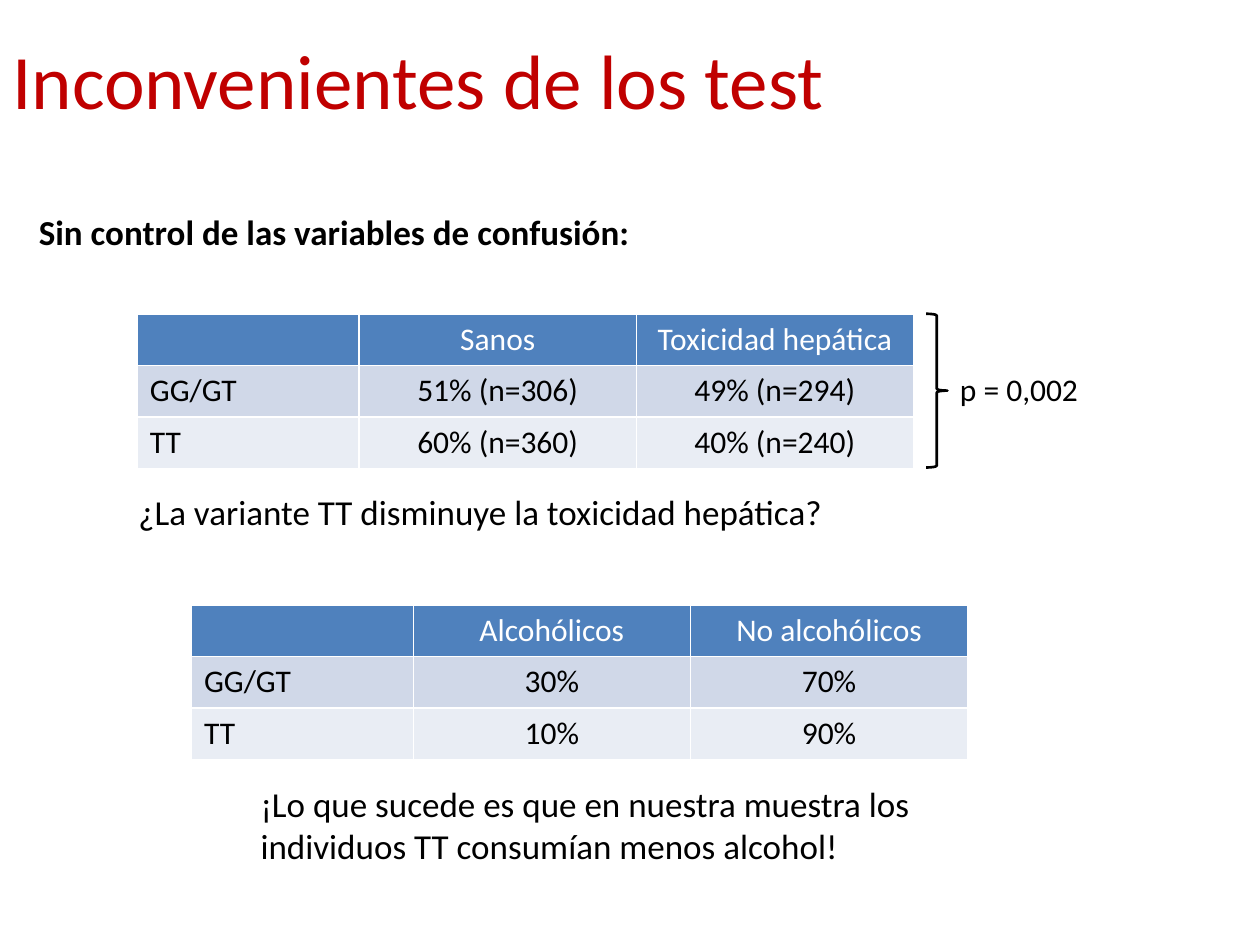
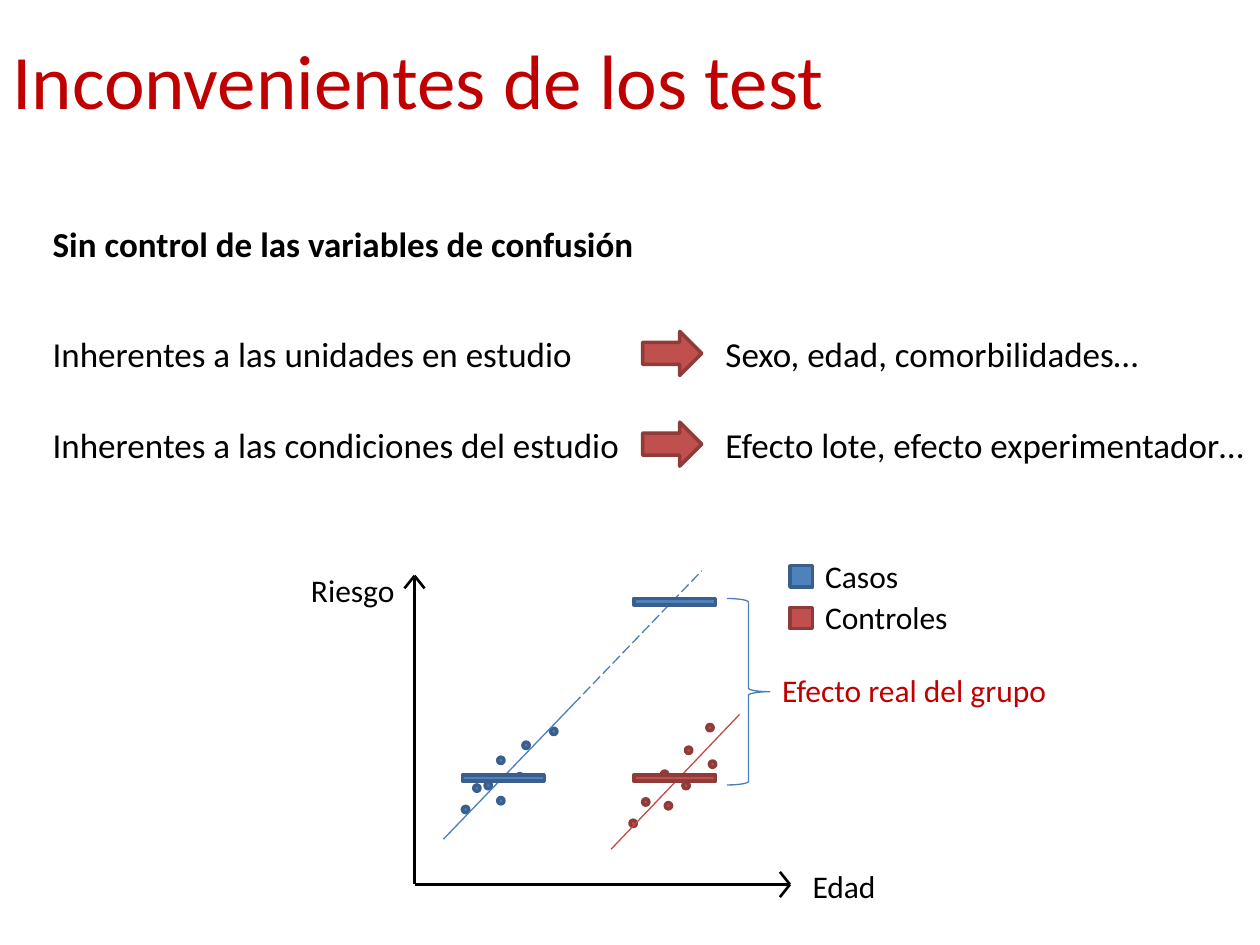
import math
from dataclasses import dataclass

import lxml.etree
import pptx
import pptx.dml.color
import pptx.enum.dml
import pptx.enum.shapes
import pptx.enum.text
import pptx.oxml.ns
import pptx.util

PX = 9144  # 100 px to the inch
SHAPE = pptx.enum.shapes.MSO_SHAPE
CENTER = pptx.enum.text.PP_ALIGN.CENTER


@dataclass(frozen=True)
class Hue:
    fill: str
    outline: str
    thin: str


@dataclass(frozen=True)
class Theme:
    font: str = "Calibri"
    title_size: int = 44
    body_size: int = 20
    label_size: int = 18
    ink: str = "000000"
    accent: str = "C00000"
    header_ink: str = "FFFFFF"
    header_fill: str = "4F81BD"
    row_fills: tuple = ("D0D8E8", "E9EDF4")
    cases: Hue = Hue("4F81BD", "3A5F8C", "4B7EBC")
    controls: Hue = Hue("C0504D", "8E3B39", "BF4C48")
    outline_width: float = 2
    thin_width: float = 0.75


def rgb(code):
    return pptx.dml.color.RGBColor.from_string(code)


class Deck:
    def __init__(self, theme):
        self.theme = theme
        self.file = pptx.Presentation()
        self.file.slide_width = 1000 * PX
        self.file.slide_height = 750 * PX
        self.slide = None

    def new_slide(self, title):
        self.slide = self.file.slides.add_slide(self.file.slide_layouts[6])
        self.text(0, 21, 1000, title, self.theme.title_size, self.theme.accent)

    def add_run(self, paragraph, words, size, color, bold=False):
        run = paragraph.add_run()
        run.text = words
        run.font.name = self.theme.font
        run.font.size = pptx.util.Pt(size)
        run.font.bold = bold
        run.font.color.rgb = rgb(color)

    def text(self, left, top, width, words, size=None, color=None,
             bold=False, wrap=True, lines=1):
        """Add a text box whose height follows from its type size and lines."""
        size = size or self.theme.body_size
        height = math.ceil(lines * size * 5 / 3) + 10
        box = self.slide.shapes.add_textbox(left * PX, top * PX, width * PX, height * PX)
        box.text_frame.word_wrap = wrap
        self.add_run(box.text_frame.paragraphs[0], words, size,
                     color or self.theme.ink, bold)

    def label(self, left, top, width, words, color=None):
        self.text(left, top, width, words, self.theme.label_size, color, wrap=False)

    def shape(self, kind, left, top, width, height, color, line_width, fill=None):
        shape = self.slide.shapes.add_shape(
            kind, left * PX, top * PX, width * PX, height * PX)
        shape.shadow.inherit = False
        if fill:
            shape.fill.solid()
            shape.fill.fore_color.rgb = rgb(fill)
        else:
            shape.fill.background()
        shape.line.color.rgb = rgb(color)
        shape.line.width = pptx.util.Pt(line_width)

    def solid(self, kind, left, top, width, height, hue):
        self.shape(kind, left, top, width, height, hue.outline,
                   self.theme.outline_width, hue.fill)

    def line(self, start, end, color, width, dashed=False):
        line = self.slide.shapes.add_connector(
            pptx.enum.shapes.MSO_CONNECTOR.STRAIGHT,
            *(value * PX for value in (*start, *end)))
        line.line.color.rgb = rgb(color)
        line.line.width = pptx.util.Pt(width)
        if dashed:
            line.line.dash_style = pptx.enum.dml.MSO_LINE.LONG_DASH
        properties = line._element.spPr
        lxml.etree.SubElement(properties, pptx.oxml.ns.qn("a:effectLst"))

    def table(self, left, top, rows):
        theme = self.theme
        widths, row_height = (176, 220, 220), 41
        table = self.slide.shapes.add_table(
            len(rows), len(widths), left * PX, top * PX,
            sum(widths) * PX, len(rows) * row_height * PX).table
        for column, width in zip(table.columns, widths):
            column.width = width * PX
        for r, row in enumerate(rows):
            table.rows[r].height = row_height * PX
            fill = theme.row_fills[(r - 1) % 2] if r else theme.header_fill
            ink = theme.ink if r else theme.header_ink
            for c, words in enumerate(row):
                cell = table.cell(r, c)
                cell.fill.solid()
                cell.fill.fore_color.rgb = rgb(fill)
                paragraph = cell.text_frame.paragraphs[0]
                if c:
                    paragraph.alignment = CENTER
                if words:
                    self.add_run(paragraph, words, theme.label_size, ink)


def confounding_tables(deck):
    deck.text(21, 162, 738, "Sin control de las variables de confusión:", bold=True)
    deck.table(109, 249, [("", "Sanos", "Toxicidad hepática"),
                          ("GG/GT", "51% (n=306)", "49% (n=294)"),
                          ("TT", "60% (n=360)", "40% (n=240)")])
    deck.table(152, 480, [("", "Alcohólicos", "No alcohólicos"),
                          ("GG/GT", "30%", "70%"),
                          ("TT", "10%", "90%")])
    deck.text(100, 384, 617, "¿La variante TT disminuye la toxicidad hepática?")
    deck.text(197, 616, 617, "¡Lo que sucede es que en nuestra muestra los "
              "individuos TT consumían menos alcohol!", lines=2)
    deck.shape(SHAPE.RIGHT_BRACE, 735, 249, 17, 122, deck.theme.ink, 1.5)
    deck.label(752, 289, 115, "p = 0,002")


def confounding_sources(deck):
    deck.text(32, 172, 500, "Sin control de las variables de confusión", bold=True)
    sources = [
        (259, "Inherentes a las unidades en estudio", 437,
         "Sexo, edad, comorbilidades…", 360),
        (331, "Inherentes a las condiciones del estudio", 474,
         "Efecto lote, efecto experimentador…", 434),
    ]
    for top, source, source_width, examples, examples_width in sources:
        deck.solid(SHAPE.RIGHT_ARROW, 510, top + 4, 47, 35, deck.theme.controls)
        deck.text(566, top, examples_width, examples)
        deck.text(32, top, source_width, source, wrap=False)


def axes(deck):
    ink = deck.theme.ink
    risk_tip, origin, age_tip = (329, 457), (329, 702), (627, 702)
    deck.line(risk_tip, origin, ink, 2.25)
    deck.line(origin, age_tip, ink, 2.25)
    for side in (-1, 1):
        deck.line((age_tip[0] - 8, age_tip[1] + side * 10), age_tip, ink, 1.5)
        deck.line((risk_tip[0] + side * 8, risk_tip[1] + 10), risk_tip, ink, 1.5)
    deck.label(635, 683, 71, "Edad")
    deck.label(237, 448, 87, "Riesgo")


def risk_by_age(deck):
    cases, controls = deck.theme.cases, deck.theme.controls
    thin = deck.theme.thin_width
    axes(deck)

    case_dots = [(367, 640), (376, 623), (385, 621), (395, 633),
                 (395, 601), (410, 614), (415, 589), (437, 578)]
    control_dots = [(500, 651), (510, 634), (528, 637), (525, 612),
                    (542, 621), (544, 593), (563, 604), (561, 575)]
    for hue, dots in ((cases, case_dots), (controls, control_dots)):
        for left, top in dots:
            deck.solid(SHAPE.OVAL, left, top, 5, 5, hue)

    last_observed = (455, 559)
    deck.line((352, 666), last_observed, cases.thin, thin)
    deck.line((485, 674), (587, 567), controls.thin, thin)
    deck.line(last_observed, (557, 453), cases.thin, thin, dashed=True)

    group_means = [(367, 615, cases), (503, 615, controls), (503, 475, cases)]
    for left, top, hue in group_means:
        deck.solid(SHAPE.RECTANGLE, left, top, 65, 5, hue)

    legend = [(449, "Casos", 79, cases), (482, "Controles", 118, controls)]
    for top, group, width, hue in legend:
        deck.solid(SHAPE.RECTANGLE, 627, top, 18, 17, hue)
        deck.label(645, top - 12, width, group)

    deck.shape(SHAPE.RIGHT_BRACE, 577, 475, 34, 148, cases.thin, thin)
    deck.label(611, 528, 232, "Efecto real del grupo", deck.theme.accent)


def main():
    deck = Deck(Theme())
    title = "Inconvenientes de los test"
    deck.new_slide(title)
    confounding_tables(deck)
    deck.new_slide(title)
    confounding_sources(deck)
    risk_by_age(deck)
    deck.file.save("out.pptx")


if __name__ == "__main__":
    main()
